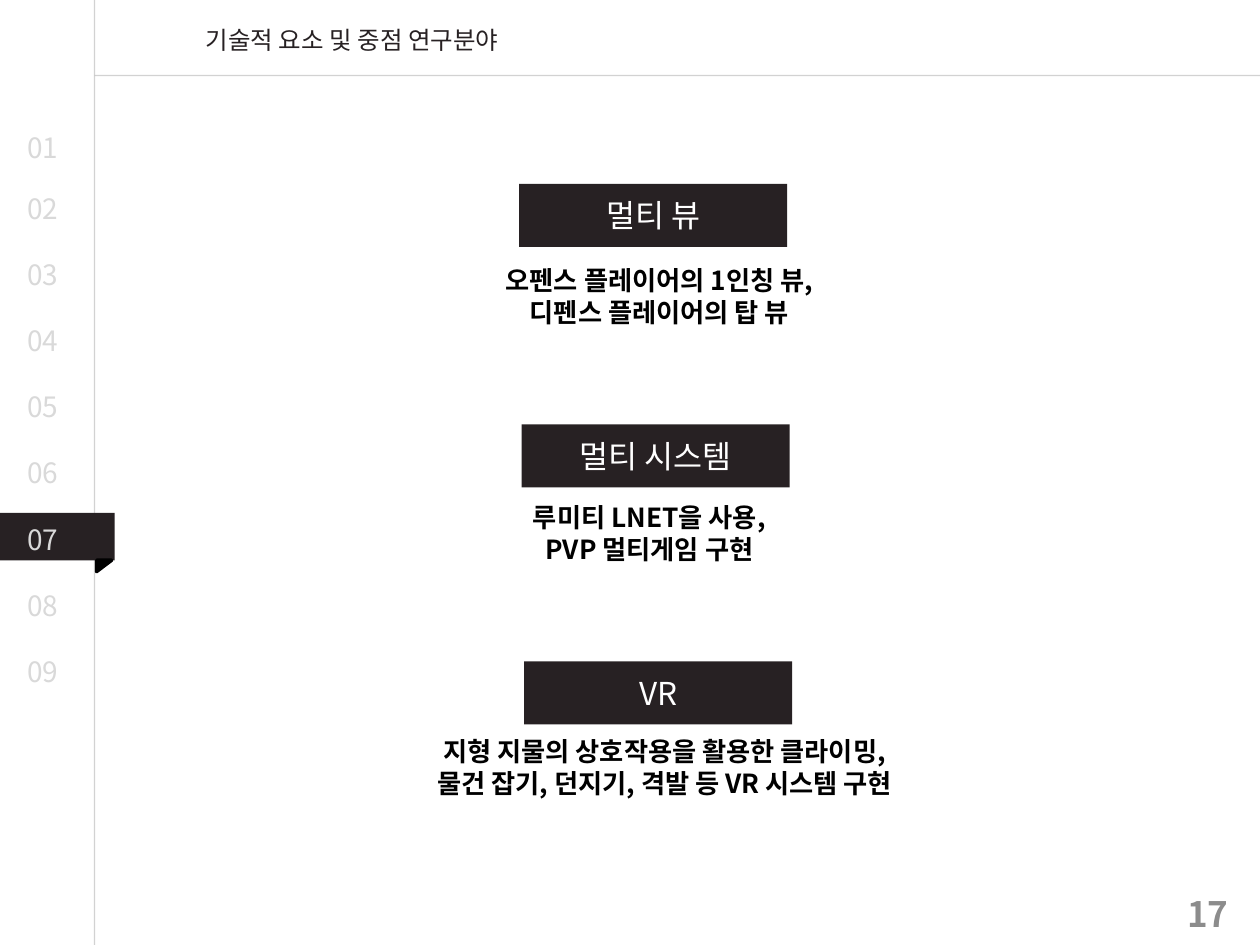
from lxml import etree
from pptx import Presentation
from pptx.dml.color import RGBColor
from pptx.enum.shapes import MSO_CONNECTOR, MSO_SHAPE
from pptx.enum.text import MSO_ANCHOR, PP_ALIGN
from pptx.oxml.ns import qn
from pptx.util import Pt

RECT = MSO_SHAPE.RECTANGLE
TRIANGLE = MSO_SHAPE.RIGHT_TRIANGLE
STRAIGHT = MSO_CONNECTOR.STRAIGHT
TOP, MIDDLE = MSO_ANCHOR.TOP, MSO_ANCHOR.MIDDLE
LEFT, CENTER, RIGHT = PP_ALIGN.LEFT, PP_ALIGN.CENTER, PP_ALIGN.RIGHT

FONT = "Noto Sans CJK KR"
DARK, BLACK, WHITE = "272123", "000000", "FFFFFF"
RULE, MUTED, GRAY = "A6A6A6", "D9D9D9", "8C8C8C"
WIDTH, HEIGHT = 720, 540
RAIL, HEADER = 54, 43.2
LEADING = 1.2

CARDS = [
    ((296.6, 105.1), "멀티 뷰", (275, 147.6, 203.8, 43.2),
     ["오펜스 플레이어의 1인칭 뷰,", "디펜스 플레이어의 탑 뷰"]),
    ((298.1, 242.6), "멀티 시스템", (296.6, 283, 149, 61.2),
     ["루미티 LNET을 사용,", "PVP 멀티게임 구현"]),
    ((299.5, 378), "VR", (223.9, 416.9, 311.8, 43.2),
     ["지형 지물의 상호작용을 활용한 클라이밍,",
      "물건 잡기, 던지기, 격발 등 VR 시스템 구현"]),
]


def color(value):
    return RGBColor.from_string(value)


def write(s, lines, size, ink, align=LEFT, anchor=TOP, bold=False):
    tf = s.text_frame
    tf.word_wrap = True
    tf.vertical_anchor = anchor
    for i, line in enumerate(lines):
        p = tf.paragraphs[0] if i == 0 else tf.add_paragraph()
        p.alignment = align
        if anchor == TOP:
            p.line_spacing = Pt(round(size * LEADING, 1))
        r = p.add_run()
        r.text = line
        r.font.size = Pt(size)
        r.font.bold = bold
        r.font.name = FONT
        r.font.color.rgb = color(ink)
        etree.SubElement(r.font._element, qn("a:ea"), typeface=FONT)


def add_text(sp, box, lines, size, ink, **style):
    s = sp.add_textbox(*map(Pt, box))
    write(s, lines, size, ink, **style)


def add_block(sp, kind, box, fill):
    s = sp.add_shape(kind, *map(Pt, box))
    s.shadow.inherit = False
    s.fill.solid()
    s.fill.fore_color.rgb = color(fill)
    s.line.fill.background()
    return s


def add_rule(sp, x1, y1, x2, y2):
    s = sp.add_connector(STRAIGHT, Pt(x1), Pt(y1), Pt(x2), Pt(y2))
    s.line.width = Pt(0.75)
    s.line.color.rgb = color(RULE)
    clr = s.line._ln.find(".//" + qn("a:srgbClr"))
    etree.SubElement(clr, qn("a:alpha"), val="50000")
    etree.SubElement(s._element.spPr, qn("a:effectLst"))


def add_header(sp, left, top, width, height):
    add_rule(sp, left, top + height, left + width, top + height)
    add_text(sp, (left + 28.1, top + 10.8, 238.3, 23.8),
             ["기술적 요소 및 중점 연구분야"], 14, DARK, align=CENTER)


def add_rail(sp, left, top, width, height, count, current):
    add_rule(sp, left + width, top, left + width, top + height)
    pitch = 37.8
    second = top + 105.8
    tops = [top + 71.3] + [second + pitch * i for i in range(count - 1)]
    tab_top = tops[current - 1] - 1.7
    add_block(sp, RECT, (left, tab_top, width + 11.5, 27.2), DARK)
    fold = add_block(sp, TRIANGLE, (left + width + 2.2, tab_top + 26, 6.5, 8.6), BLACK)
    fold.rotation = 90
    fold.line.color.rgb = color(BLACK)
    fold.line.width = Pt(2)
    for number, y in enumerate(tops, 1):
        add_text(sp, (left + 8.6, y, 35.3, 26.6), [f"{number:02d}"], 16, MUTED)


def add_card(sp, corner, title, caption_box, caption):
    bar = add_block(sp, RECT, (*corner, 153.2, 36), DARK)
    write(bar, [title], 18, WHITE, align=CENTER, anchor=MIDDLE)
    add_text(sp, caption_box, caption, 15, BLACK, align=CENTER, bold=True)


def add_page_number(sp, left, top, width, height):
    add_text(sp, (left, top, width, height), ["17"], 20, GRAY,
             align=RIGHT, anchor=MIDDLE, bold=True)


def main():
    prs = Presentation()
    prs.slide_width, prs.slide_height = Pt(WIDTH), Pt(HEIGHT)
    sp = prs.slides.add_slide(prs.slide_layouts[6]).shapes
    add_header(sp, RAIL, 0, WIDTH - RAIL, HEADER)
    add_rail(sp, 0, 0, RAIL, HEIGHT, count=9, current=7)
    for card in CARDS:
        add_card(sp, *card)
    add_page_number(sp, 541.4, 507.6, 167.8, 28.8)
    prs.save("out.pptx")


if __name__ == "__main__":
    main()
